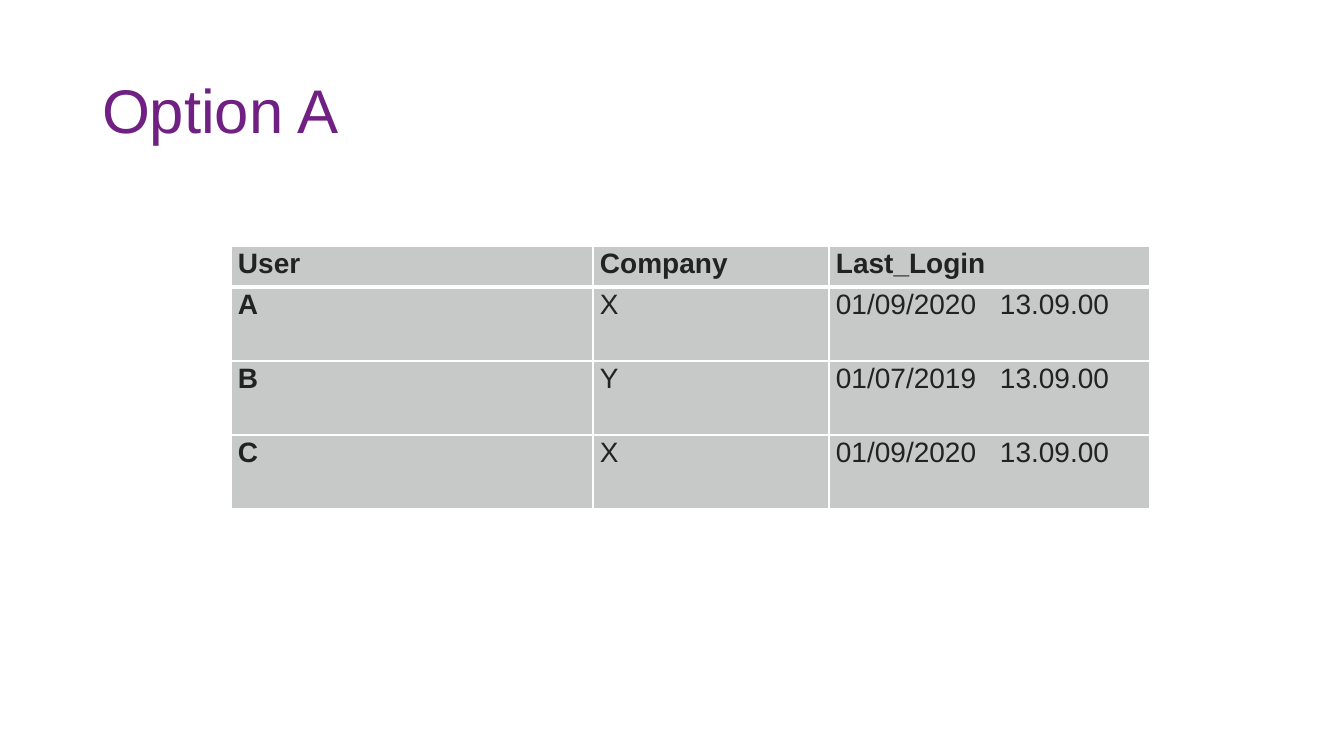
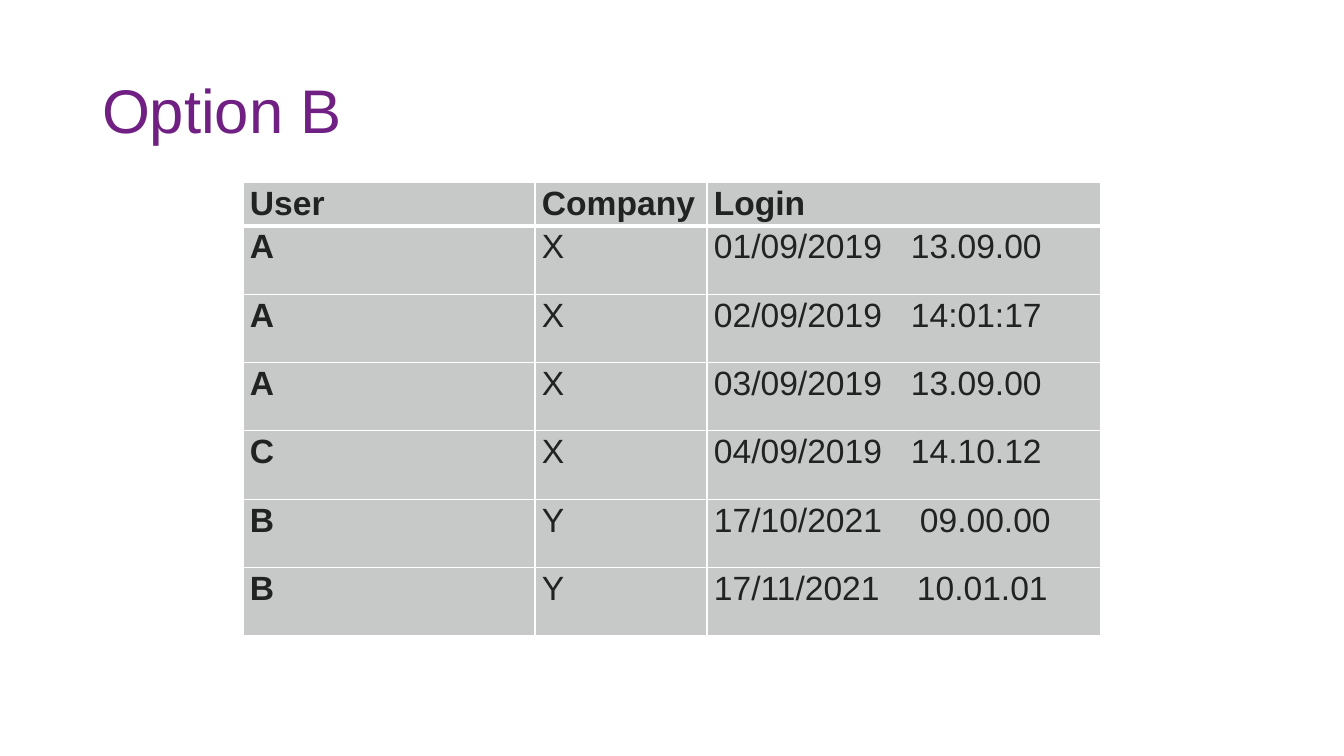
from dataclasses import dataclass

from lxml.etree import SubElement
from pptx import Presentation
from pptx.dml.color import RGBColor
from pptx.enum.text import MSO_ANCHOR, MSO_AUTO_SIZE, PP_ALIGN
from pptx.oxml import parse_xml
from pptx.oxml.ns import nsdecls, qn
from pptx.util import Emu, Pt


@dataclass(frozen=True)
class Theme:
    font: str = "Arial"
    title_color: str = "702082"
    text_color: str = "212322"
    cell_color: str = "C6C9C8"
    border_color: str = "FFFFFF"
    title_size: int = 44
    thin_line: int = 1
    header_line: int = 3


THEME = Theme()
SLIDE_SIZE = (1344, 756)
TITLE_BOX = (92, 41, 1159, 146)
CELL_INSET = 7

SLIDES = [
    {
        "title": "Option A",
        "origin": (231, 246),
        "columns": (362, 236, 321),
        "header_height": 41,
        "body_height": 222,
        "size": 20,
        "header": ("User", "Company", "Last_Login"),
        "rows": [
            ("A", "X", "01/09/2020\t13.09.00", 164),
            ("B", "Y", "01/07/2019\t13.09.00", 164),
            ("C", "X", "01/09/2020\t13.09.00", 164),
        ],
    },
    {
        "title": "Option B",
        "origin": (243, 182),
        "columns": (292, 172, 394),
        "header_height": 44,
        "body_height": 410,
        "size": 24,
        "header": ("User", "Company", "Login"),
        "rows": [
            ("A", "X", "01/09/2019\t13.09.00", 197),
            ("A", "X", "02/09/2019\t14:01:17", 197),
            ("A", "X", "03/09/2019\t13.09.00", 197),
            ("C", "X", "04/09/2019\t14.10.12", 197),
            ("B", "Y", "17/10/2021\t09.00.00", 206),
            ("B", "Y", "17/11/2021\t10.01.01", 203),
        ],
    },
]


def px(value):
    return Emu(round(value * 914400 / 100.8))


def write(frame, text, *, size, color, bold=False, spacing=1.0, after=0, tab=None):
    para = frame.paragraphs[0]
    para.alignment = PP_ALIGN.LEFT
    para.line_spacing = spacing
    para.space_after = Pt(after)
    if tab is not None:
        stops = SubElement(para._p.get_or_add_pPr(), qn("a:tabLst"))
        SubElement(stops, qn("a:tab"), pos=str(px(tab)), algn="l")
    span = para.add_run()
    span.text = text
    span.font.name = THEME.font
    span.font.size = Pt(size)
    span.font.bold = bold
    span.font.color.rgb = RGBColor.from_string(color)


def add_title(page, text):
    title = page.shapes.title
    title.left, title.top, title.width, title.height = map(px, TITLE_BOX)
    frame = title.text_frame
    frame.word_wrap = True
    frame.auto_size = MSO_AUTO_SIZE.NONE
    frame.vertical_anchor = MSO_ANCHOR.MIDDLE
    write(frame, text, size=THEME.title_size, color=THEME.title_color, spacing=0.9)


def set_borders(cell, top, bottom):
    widths = {"L": THEME.thin_line, "R": THEME.thin_line, "T": top, "B": bottom}
    properties = cell._tc.get_or_add_tcPr()
    for index, (side, width) in enumerate(widths.items()):
        properties.insert(index, parse_xml(
            f'<a:ln{side} {nsdecls("a")} w="{Pt(width)}"><a:solidFill>'
            f'<a:srgbClr val="{THEME.border_color}"/></a:solidFill></a:ln{side}>'
        ))


def format_cell(cell, row):
    cell.margin_left = cell.margin_right = px(CELL_INSET)
    cell.margin_top = cell.margin_bottom = 0
    cell.fill.solid()
    cell.fill.fore_color.rgb = RGBColor.from_string(THEME.cell_color)
    set_borders(
        cell,
        top=THEME.header_line if row == 1 else THEME.thin_line,
        bottom=THEME.header_line if row == 0 else THEME.thin_line,
    )


def add_login_table(page, content):
    columns = content["columns"]
    rows = [(*content["header"], None), *content["rows"]]
    row_height = content["body_height"] / len(content["rows"])
    height = content["header_height"] + content["body_height"]
    left, top = content["origin"]
    table = page.shapes.add_table(
        len(rows), len(columns), px(left), px(top), px(sum(columns)), px(height)
    ).table
    for column, width in zip(table.columns, columns):
        column.width = px(width)
    for row, (*texts, tab) in enumerate(rows):
        table.rows[row].height = px(row_height if row else content["header_height"])
        for column, text in enumerate(texts):
            cell = table.cell(row, column)
            format_cell(cell, row)
            write(
                cell.text_frame, text, size=content["size"], color=THEME.text_color,
                bold=row == 0 or column == 0, spacing=1.07, after=8,
                tab=tab if "\t" in text else None,
            )


def main():
    deck = Presentation()
    deck.slide_width, deck.slide_height = map(px, SLIDE_SIZE)
    for content in SLIDES:
        page = deck.slides.add_slide(deck.slide_layouts[5])
        add_title(page, content["title"])
        add_login_table(page, content)
    deck.save("out.pptx")


if __name__ == "__main__":
    main()
